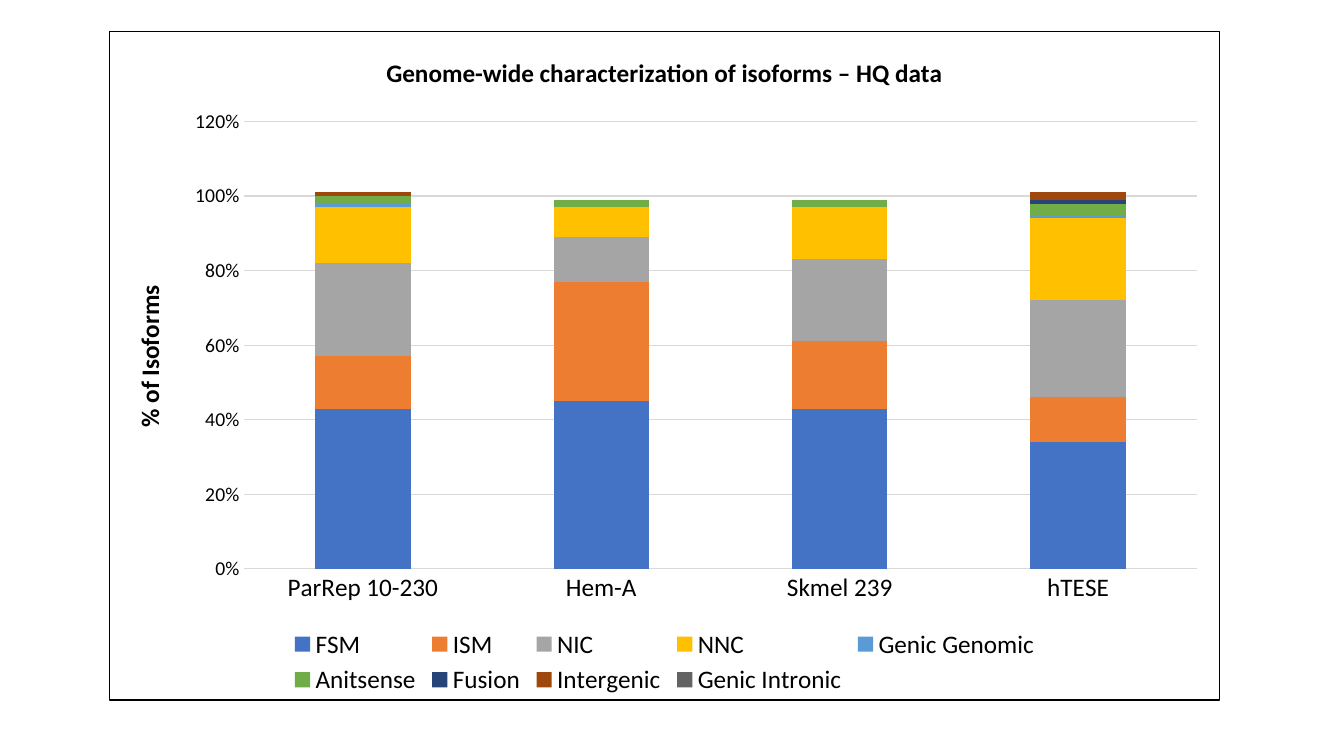
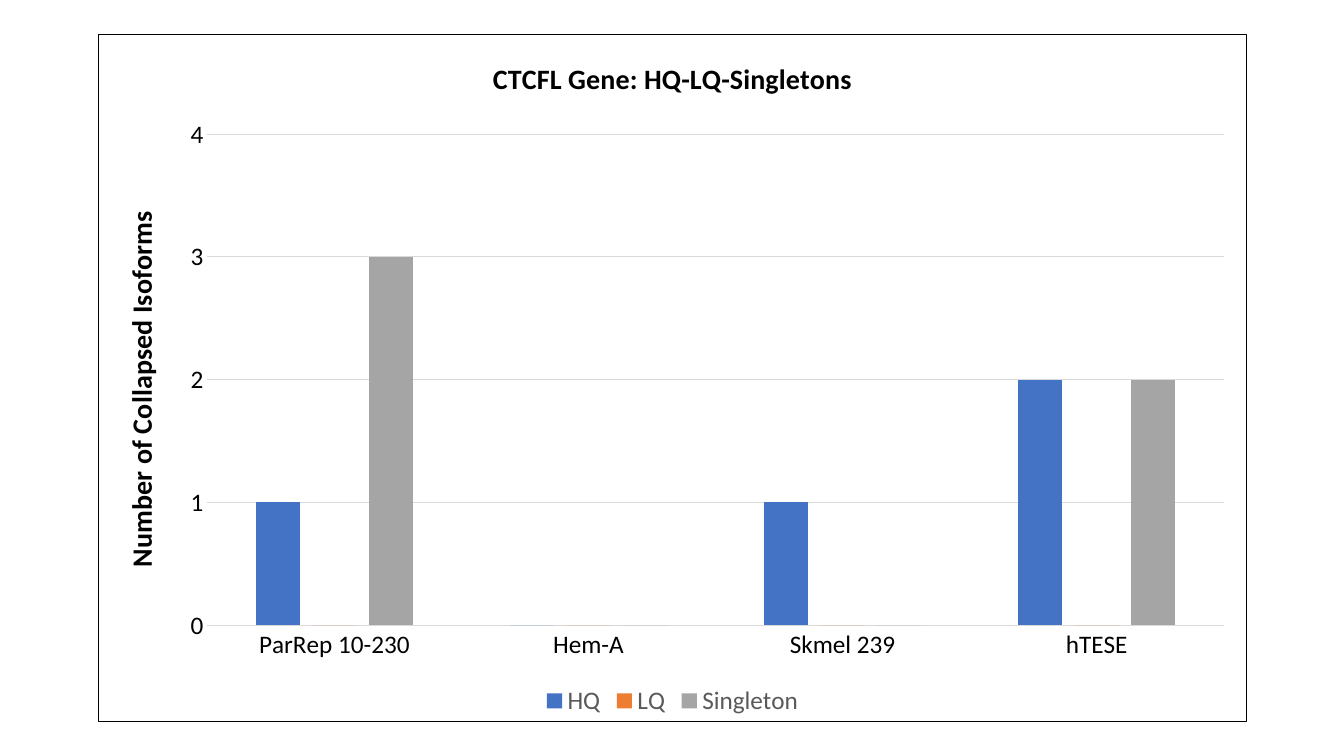
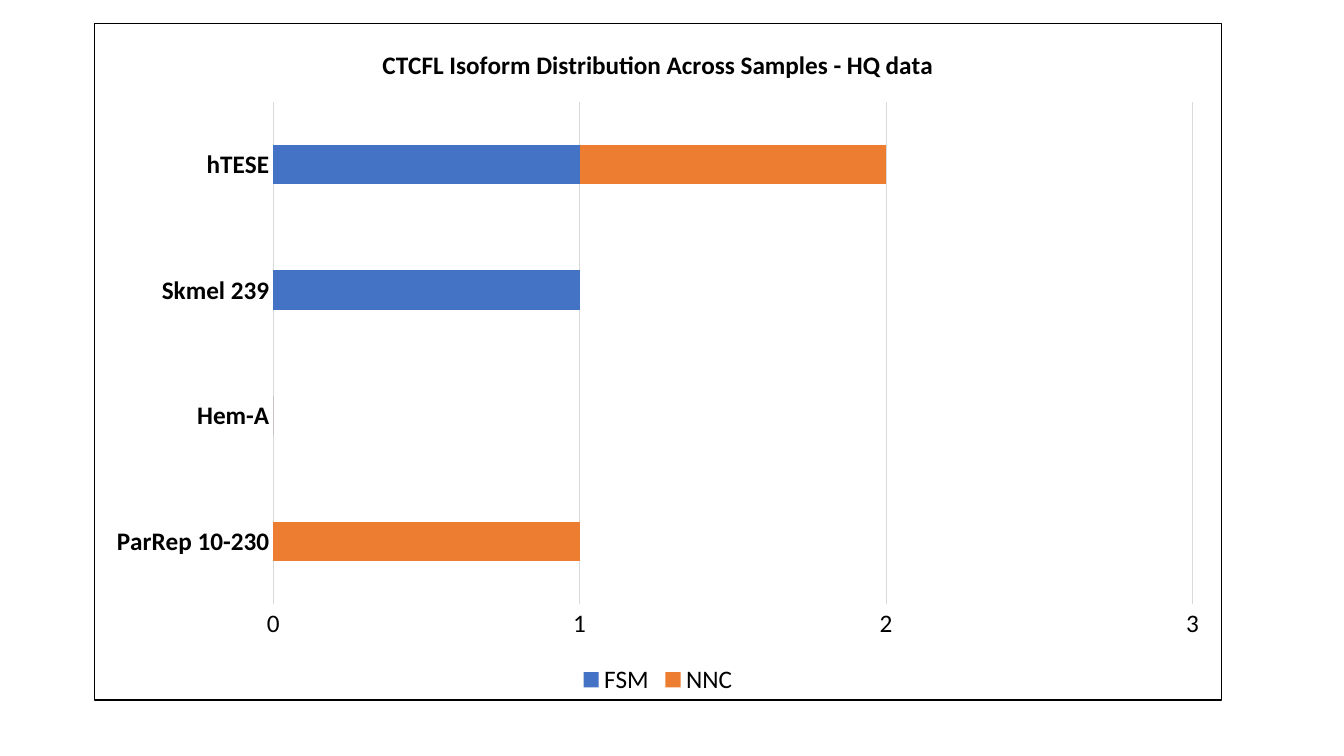
"""Build three slides of isoform charts that share one framed chart style."""
from lxml import etree
from pptx import Presentation
from pptx import util as u
from pptx.chart.data import CategoryChartData
from pptx.dml.color import RGBColor
from pptx.enum import chart as kinds
from pptx.oxml import ns

COLOURS = {
    "text": "000000",
    "muted": "595959",
    "grid": "D9D9D9",
    "blue": "4472C4",
    "orange": "ED7D31",
    "grey": "A5A5A5",
    "gold": "FFC000",
    "sky": "5B9BD5",
    "green": "70AD47",
    "navy": "264478",
    "brown": "9E480E",
    "slate": "636363",
}
SERIES_COLOURS = ["blue", "orange", "grey", "gold", "sky", "green", "navy", "brown", "slate"]
SAMPLES = ["ParRep 10-230", "Hem-A", "Skmel 239", "hTESE"]
FONT = "Calibri"


def colour(name):
    return RGBColor.from_string(COLOURS[name])


def style_font(font, size, bold=False, tone="text"):
    font.name = FONT
    font.size = u.Pt(size)
    font.bold = bold
    font.color.rgb = colour(tone)


def style_line(line, tone):
    line.color.rgb = colour(tone)
    line.width = u.Pt(0.75)


def set_title(owner, words, size):
    frame = owner.text_frame
    frame.text = words
    style_font(frame.paragraphs[0].runs[0].font, size, bold=True)


def add_border(chart):
    properties = etree.Element(ns.qn("c:spPr"))
    etree.SubElement(properties, ns.qn("a:noFill"))
    line = etree.SubElement(properties, ns.qn("a:ln"), w=str(u.Pt(0.75)))
    fill = etree.SubElement(line, ns.qn("a:solidFill"))
    etree.SubElement(fill, ns.qn("a:srgbClr"), val=COLOURS["text"])
    chart.element.find(ns.qn("c:chart")).addnext(properties)


def add_sample_chart(deck, kind, place, title, rows, title_size=18, gap=219, overlap=100):
    page = deck.slides.add_slide(deck.slide_layouts[6])
    data = CategoryChartData()
    data.categories = SAMPLES
    for name, values in rows.items():
        data.add_series(name, values)
    chart = page.shapes.add_chart(kind, *map(u.Inches, place), data).chart
    style_font(chart.font, 10)
    add_border(chart)
    chart.has_title = True
    set_title(chart.chart_title, title, title_size)
    chart.chart_title.include_in_layout = False
    plot = chart.plots[0]
    plot.gap_width, plot.overlap = gap, overlap
    plot.vary_by_categories = False
    for series, tone in zip(plot.series, SERIES_COLOURS):
        series.invert_if_negative = False
        series.format.fill.solid()
        series.format.fill.fore_color.rgb = colour(tone)
    return chart


def style_category_axis(chart, bold=False):
    axis = chart.category_axis
    axis.major_tick_mark = kinds.XL_TICK_MARK.NONE
    style_font(axis.tick_labels.font, 18, bold)
    style_line(axis.format.line, "grid")


def style_value_axis(chart, top, step, size=18, number_format="0"):
    axis = chart.value_axis
    axis.minimum_scale, axis.maximum_scale, axis.major_unit = 0, top, step
    axis.major_tick_mark = kinds.XL_TICK_MARK.NONE
    axis.has_major_gridlines = True
    style_line(axis.major_gridlines.format.line, "grid")
    axis.format.line.fill.background()
    axis.tick_labels.number_format = number_format
    axis.tick_labels.number_format_is_linked = False
    style_font(axis.tick_labels.font, size)


def add_legend(chart, tone="text"):
    chart.has_legend = True
    chart.legend.position = kinds.XL_LEGEND_POSITION.BOTTOM
    chart.legend.include_in_layout = False
    style_font(chart.legend.font, 18, tone=tone)


def add_genome_slide(deck):
    rows = {
        "FSM": [0.43, 0.45, 0.43, 0.34],
        "ISM": [0.14, 0.32, 0.18, 0.12],
        "NIC": [0.25, 0.12, 0.22, 0.26],
        "NNC": [0.15, 0.08, 0.14, 0.22],
        "Genic Genomic": [0.01, 0, 0, 0.01],
        "Anitsense": [0.02, 0.02, 0.02, 0.03],
        "Fusion": [0, 0, 0, 0.01],
        "Intergenic": [0.01, 0, 0, 0.02],
        "Genic Intronic": [0, 0, 0, 0],
    }
    chart = add_sample_chart(
        deck, kinds.XL_CHART_TYPE.COLUMN_STACKED, (1.08, 0.31, 11.02, 6.64),
        "Genome-wide characterization of isoforms – HQ data", rows, gap=150)
    style_category_axis(chart)
    style_value_axis(chart, 1.2, 0.2, size=14, number_format="0%")
    set_title(chart.value_axis.axis_title, "% of Isoforms", 18)
    add_legend(chart)


def add_gene_slide(deck):
    rows = {"HQ": [1, 0, 1, 2], "LQ": [0, 0, 0, 0], "Singleton": [3, 0, 0, 2]}
    chart = add_sample_chart(
        deck, kinds.XL_CHART_TYPE.COLUMN_CLUSTERED, (0.97, 0.34, 11.4, 6.82),
        "CTCFL Gene: HQ-LQ-Singletons", rows, title_size=20, overlap=-27)
    style_category_axis(chart)
    style_value_axis(chart, 4, 1)
    set_title(chart.value_axis.axis_title, "Number of Collapsed Isoforms", 20)
    add_legend(chart, "muted")


def add_distribution_slide(deck):
    rows = {"FSM": [0, 0, 1, 1], "NNC": [1, 0, 0, 1]}
    chart = add_sample_chart(
        deck, kinds.XL_CHART_TYPE.BAR_STACKED, (0.93, 0.23, 11.19, 6.72),
        "CTCFL Isoform Distribution Across Samples - HQ data", rows)
    style_category_axis(chart, bold=True)
    style_value_axis(chart, 3, 1)
    add_legend(chart)


def main():
    deck = Presentation()
    deck.slide_width, deck.slide_height = u.Inches(13.33), u.Inches(7.5)
    add_genome_slide(deck)
    add_gene_slide(deck)
    add_distribution_slide(deck)
    deck.save("out.pptx")


if __name__ == "__main__":
    main()
